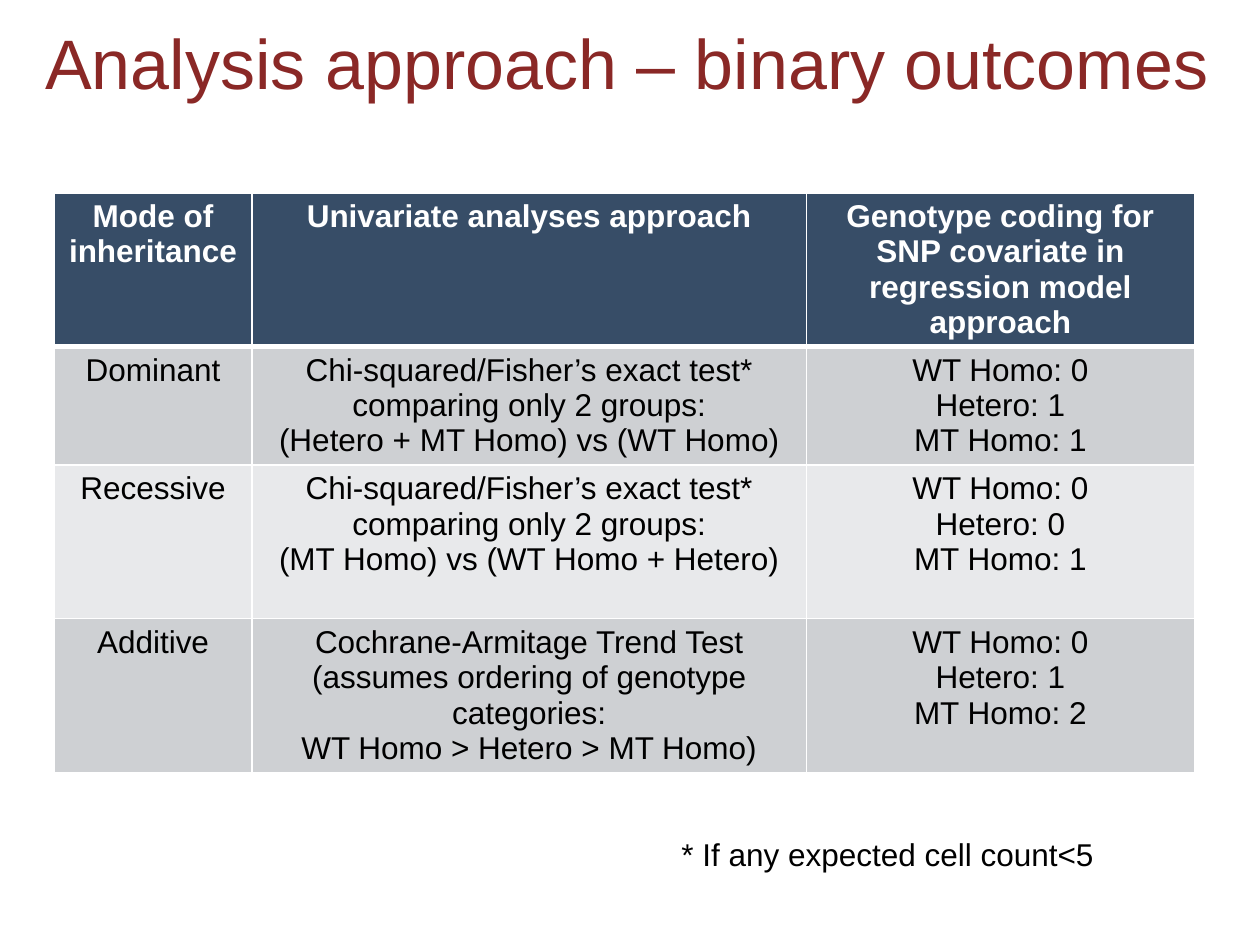
from lxml.etree import SubElement as Sub
from pptx import Presentation
from pptx.dml.color import RGBColor as RGB
from pptx.enum.text import MSO_ANCHOR as Anchor, PP_ALIGN as Align
from pptx.oxml.ns import qn
from pptx.util import Inches, Pt

NAVY, RED, WHITE, BLACK = "374D67", "8A2826", "FFFFFF", "000000"
BANDS = ["CED0D3", "E8E9EB"]
COLS = [1.57, 4.4, 3.08]
ROWS = [1.22, 0.93, 1.22, 1.22]
CHI = "Chi-squared/Fisher’s exact test* comparing only 2 groups:"
TREND = "Cochrane-Armitage Trend Test (assumes ordering of genotype categories:"
HEAD = ["Mode of inheritance", "Univariate analyses approach",
        "Genotype coding for SNP covariate in regression model approach"]
# Mode, test lines, codes for WT Homo, Hetero and MT Homo
MODES = [
    ("Dominant", [CHI, "(Hetero + MT Homo) vs (WT Homo)"], (0, 1, 1)),
    ("Recessive", [CHI, "(MT Homo) vs (WT Homo + Hetero)"], (0, 0, 1)),
    ("Additive", [TREND, "WT Homo > Hetero > MT Homo)"], (0, 1, 2)),
]


def color(code):
    return RGB.from_string(code)


def write(frame, lines, hue, size=18, bold=False, align=Align.LEFT):
    frame.word_wrap = True
    frame.text = "\n".join(lines)
    look = {"name": "Arial", "size": Pt(size), "bold": bold}
    for para in frame.paragraphs:
        para.alignment = align
        for run in para.runs:
            for key, value in look.items():
                setattr(run.font, key, value)
            run.font.color.rgb = color(hue)


def place(shape, *box):
    for key, value in zip(("left", "top", "width", "height"), box):
        setattr(shape, key, Inches(value))


def add_title(slide, text):
    title = slide.shapes.title
    place(title, 0.26, 0.21, 9.74, 0.55)
    write(title.text_frame, [text], RED, 40)
    title.text_frame.vertical_anchor = Anchor.MIDDLE
    # Navy shadow behind the letters
    props = title.text_frame.paragraphs[0].runs[0].font.fill
    props = title.text_frame.paragraphs[0].runs[0]._r.get_or_add_rPr()
    glow = Sub(props, qn("a:effectLst"))
    drop = Sub(glow, qn("a:outerShdw"), dist="25400", dir="2700000")
    Sub(drop, qn("a:srgbClr"), val=NAVY)
    props.find(qn("a:solidFill")).addnext(glow)


def edge(cell, base):
    props = cell._tc.get_or_add_tcPr()
    for side, width in zip("LRTB", (1, 1, 1, base)):
        line = Sub(props, qn("a:ln" + side), w=str(Pt(width)))
        fill = Sub(line, qn("a:solidFill"))
        Sub(fill, qn("a:srgbClr"), val=WHITE)


def add_grid(slide, rows):
    box = [Inches(n) for n in (0.43, 1.53, sum(COLS), sum(ROWS))]
    grid = slide.shapes.add_table(len(rows), len(COLS), *box).table
    for col, width in zip(grid.columns, COLS):
        col.width = Inches(width)
    for i, (row, high) in enumerate(zip(rows, ROWS)):
        grid.rows[i].height = Inches(high)
        top = i == 0
        for j, lines in enumerate(row):
            cell = grid.cell(i, j)
            write(cell.text_frame, lines, WHITE if top else BLACK,
                  bold=top, align=Align.CENTER)
            # Thick rule under the head, and on top of the first body row
            edge(cell, 3 if top else 1)
            if i == 1:
                cell._tc.tcPr.find(qn("a:lnT")).set("w", str(Pt(3)))
            cell.fill.solid()
            cell.fill.fore_color.rgb = color(NAVY if top else BANDS[(i - 1) % 2])


def add_note(slide, text):
    note = slide.shapes.add_textbox(0, 0, 0, 0)
    place(note, 5.31, 6.58, 4.17, 0.4)
    write(note.text_frame, [text], BLACK)


def main():
    deck = Presentation()
    deck.slide_width, deck.slide_height = Inches(10), Inches(7.5)
    slide = deck.slides.add_slide(deck.slide_layouts[5])
    add_title(slide, "Analysis approach – binary outcomes")
    # Head row, then one row for each mode
    rows = [[[text] for text in HEAD]]
    for mode, test, codes in MODES:
        types = zip(("WT Homo", "Hetero", "MT Homo"), codes)
        rows.append([[mode], test, [f"{kind}: {code}" for kind, code in types]])
    add_grid(slide, rows)
    add_note(slide, "* If any expected cell count<5")
    deck.save("out.pptx")


if __name__ == "__main__":
    main()
